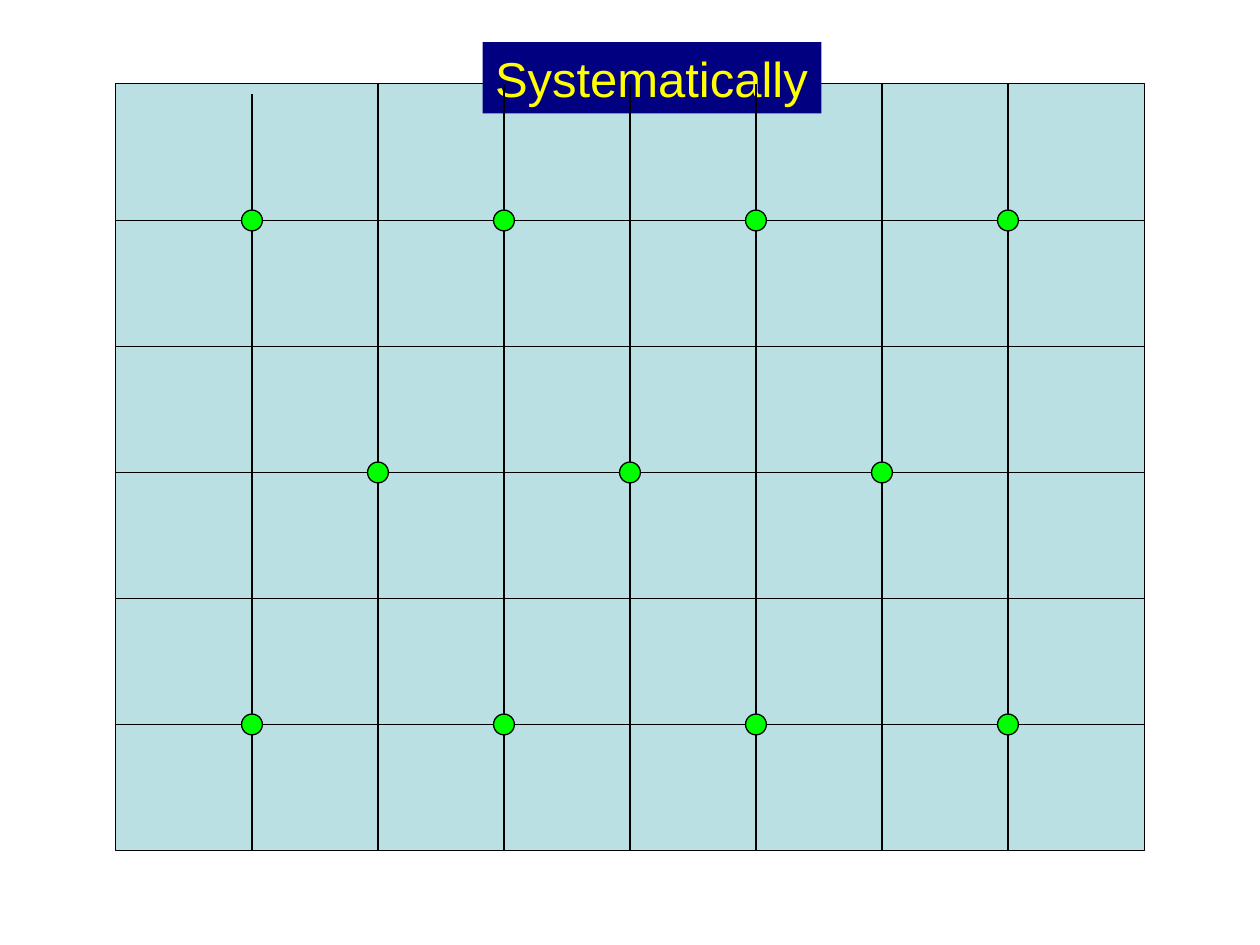
from dataclasses import dataclass

from lxml import etree
from pptx import Presentation
from pptx import util as u
from pptx.dml.color import RGBColor
from pptx.enum import shapes, text
from pptx.oxml.ns import qn

STEP = 2.54  # grid spacing in cm
DOT = 0.42
BLACK = "000000"


@dataclass(frozen=True)
class Box:
    left: float
    top: float
    width: float
    height: float

    @property
    def right(self) -> float:
        return self.left + self.width

    @property
    def base(self) -> float:
        return self.top + self.height


@dataclass(frozen=True)
class Row:
    line: int
    cols: range


FIELD = Box(2.33, 1.69, 20.74, 15.45)
TITLE = Box(9.73, 0.85, 6.83, 1.44)
ROWS = [Row(1, range(2, 9, 2)), Row(3, range(3, 8, 2)), Row(5, range(2, 9, 2))]


def paint(fmt, color: str) -> None:
    """Give a fill or font one solid colour."""
    if hasattr(fmt, "solid"):
        fmt.solid()
        fmt.fore_color.rgb = RGBColor.from_string(color)
    else:
        fmt.color.rgb = RGBColor.from_string(color)


def edge(line) -> None:
    paint(line.fill, BLACK)
    line.width = u.Pt(0.75)


def add_box(tree, kind, box: Box, fill: str, lined: bool = True):
    dims = (box.left, box.top, box.width, box.height)
    shape = tree.add_shape(kind, *map(u.Cm, dims))
    shape.shadow.inherit = False
    paint(shape.fill, fill)
    if lined:
        edge(shape.line)
    else:
        shape.line.fill.background()
    return shape


def add_line(tree, x1: float, y1: float, x2: float, y2: float) -> None:
    ends = map(u.Cm, (x1, y1, x2, y2))
    line = tree.add_connector(shapes.MSO_CONNECTOR.STRAIGHT, *ends)
    edge(line.line)
    etree.SubElement(line._element.spPr, qn("a:effectLst"))


def write(shape, words: str, *, size: float, color: str, font: str = "Arial") -> None:
    frame = shape.text_frame
    frame.word_wrap = False
    frame.auto_size = text.MSO_AUTO_SIZE.SHAPE_TO_FIT_TEXT
    frame.vertical_anchor = text.MSO_ANCHOR.TOP
    par = frame.paragraphs[0]
    par.alignment = text.PP_ALIGN.LEFT
    run = par.add_run()
    run.text = words
    run.font.name = font
    run.font.size = u.Pt(size)
    paint(run.font, color)


def main() -> None:
    deck = Presentation()
    deck.slide_width, deck.slide_height = u.Cm(25.4), u.Cm(19.05)
    tree = deck.slides.add_slide(deck.slide_layouts[6]).shapes
    rect = shapes.MSO_SHAPE.RECTANGLE

    add_box(tree, rect, FIELD, "BBE0E3")
    title = add_box(tree, rect, TITLE, "000080", lined=False)
    write(title, "Systematically", size=28, color="FFFF00")

    for row in range(5, 0, -1):
        y = (row + 0.75) * STEP
        add_line(tree, FIELD.left, y, FIELD.right, y)
    for col in range(2, 9):
        # The first upright starts a little below the field's top edge
        top = 1.9 if col == 2 else FIELD.top
        add_line(tree, col * STEP, top, col * STEP, FIELD.base)

    dots = tree.add_group_shape().shapes
    for row in ROWS:
        for col in row.cols:
            x, y = col * STEP, (row.line + 0.75) * STEP
            spot = Box(x - DOT / 2, y - DOT / 2, DOT, DOT)
            add_box(dots, shapes.MSO_SHAPE.OVAL, spot, "00FF00")

    deck.save("out.pptx")


if __name__ == "__main__":
    main()
